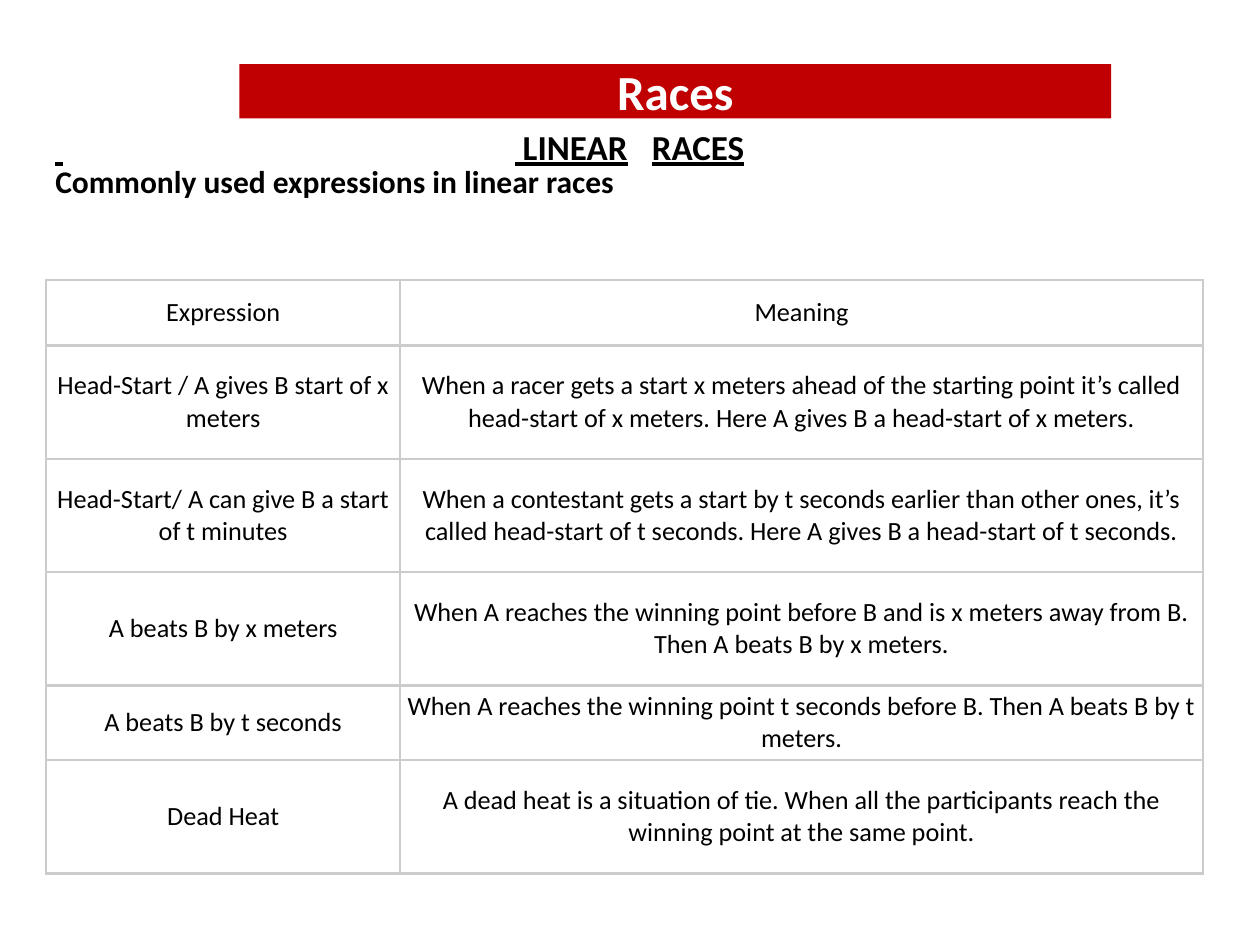
from lxml import etree
from pptx import Presentation
from pptx.dml.color import RGBColor
from pptx.enum.shapes import MSO_SHAPE
from pptx.enum.text import MSO_ANCHOR, PP_ALIGN
from pptx.oxml.ns import qn
from pptx.util import Pt

RECTANGLE = MSO_SHAPE.RECTANGLE
CENTER = PP_ALIGN.CENTER
MIDDLE, BOTTOM = MSO_ANCHOR.MIDDLE, MSO_ANCHOR.BOTTOM
COLORS = {"banner": "C00000", "white": "FFFFFF", "text": "000000", "border": "CCCCCC"}


def add_span(para, text, size=15, color="text", bold=False, underline=False):
    span = para.add_run()
    span.text = text
    span.font.name = "Calibri"
    span.font.size = Pt(size)
    span.font.bold = bold
    span.font.underline = underline
    span.font.color.rgb = RGBColor.from_string(COLORS[color])


def add_border(cell):
    properties = cell._tc.get_or_add_tcPr()
    for side in ("lnL", "lnR", "lnT", "lnB"):
        line = etree.SubElement(properties, qn(f"a:{side}"), w=str(Pt(1.5)))
        fill = etree.SubElement(line, qn("a:solidFill"))
        etree.SubElement(fill, qn("a:srgbClr"), val=COLORS["border"])


deck = Presentation()
deck.slide_width, deck.slide_height = Pt(720), Pt(540)
page = deck.slides.add_slide(deck.slide_layouts[6])

# Title banner
banner = page.shapes.add_shape(RECTANGLE, Pt(136.8), Pt(36.7), Pt(498.2), Pt(31))
banner.shadow.inherit = False
banner.fill.solid()
banner.fill.fore_color.rgb = RGBColor.from_string(COLORS["banner"])
banner.line.fill.background()
banner.text_frame.vertical_anchor = MIDDLE
para = banner.text_frame.paragraphs[0]
para.alignment = CENTER
add_span(para, "Races", size=28, color="white", bold=True)

# Table of expressions
ROWS = [
    ("Expression", "Meaning"),
    ("Head-Start / A gives B start of x meters",
     "When a racer gets a start x meters ahead of the starting point it’s called "
     "head-start of x meters. Here A gives B a head-start of x meters."),
    ("Head-Start/ A can give B a start of t minutes",
     "When a contestant gets a start by t seconds earlier than other ones, it’s "
     "called head-start of t seconds. Here A gives B a head-start of t seconds."),
    ("A beats B by x meters",
     "When A reaches the winning point before B and is x meters away from B. "
     "Then A beats B by x meters."),
    ("A beats B by t seconds",
     "When A reaches the winning point t seconds before B. Then A beats B by t meters."),
    ("Dead Heat",
     "A dead heat is a situation of tie. When all the participants reach the "
     "winning point at the same point."),
]
ROW_HEIGHTS = [37.4, 64.8, 64.8, 64.8, 37.4, 64.8]
COLUMN_WIDTHS = [202.3, 458.7]

table = page.shapes.add_table(
    len(ROWS), len(COLUMN_WIDTHS), Pt(26.4), Pt(160),
    Pt(sum(COLUMN_WIDTHS)), Pt(sum(ROW_HEIGHTS))).table
table.first_row = False
table.horz_banding = False
for column, width in zip(table.columns, COLUMN_WIDTHS):
    column.width = Pt(width)
for row, height, texts in zip(table.rows, ROW_HEIGHTS, ROWS):
    row.height = Pt(height)
    for cell, text in zip(row.cells, texts):
        add_border(cell)
        cell.fill.solid()
        cell.fill.fore_color.rgb = RGBColor.from_string(COLORS["white"])
        cell.vertical_anchor = MIDDLE
        cell.margin_left = cell.margin_right = Pt(2.2)
        cell.margin_top = cell.margin_bottom = Pt(2.9)
        para = cell.text_frame.paragraphs[0]
        para.alignment = CENTER
        add_span(para, text)

# Subheading
box = page.shapes.add_textbox(Pt(24.5), Pt(89.3), Pt(336), Pt(29))
box.text_frame.word_wrap = False
add_span(box.text_frame.paragraphs[0], "Commonly used expressions in linear races",
         size=18, bold=True)

# Section heading, its words placed by tab stops
box = page.shapes.add_textbox(Pt(24.5), Pt(43.9), Pt(531), Pt(55.4))
box.text_frame.word_wrap = True
box.text_frame.vertical_anchor = BOTTOM
para = box.text_frame.paragraphs[0]
tabs = etree.SubElement(para._p.get_or_add_pPr(), qn("a:tabLst"))
for stop in (262.6, 340.9):
    etree.SubElement(tabs, qn("a:tab"), pos=str(Pt(stop)), algn="l")
for text, underline in ((" ", True), ("\t", False), (" LINEAR", True),
                        ("\t", False), ("RACES", True)):
    add_span(para, text, size=20, bold=True, underline=underline)

deck.save("out.pptx")
